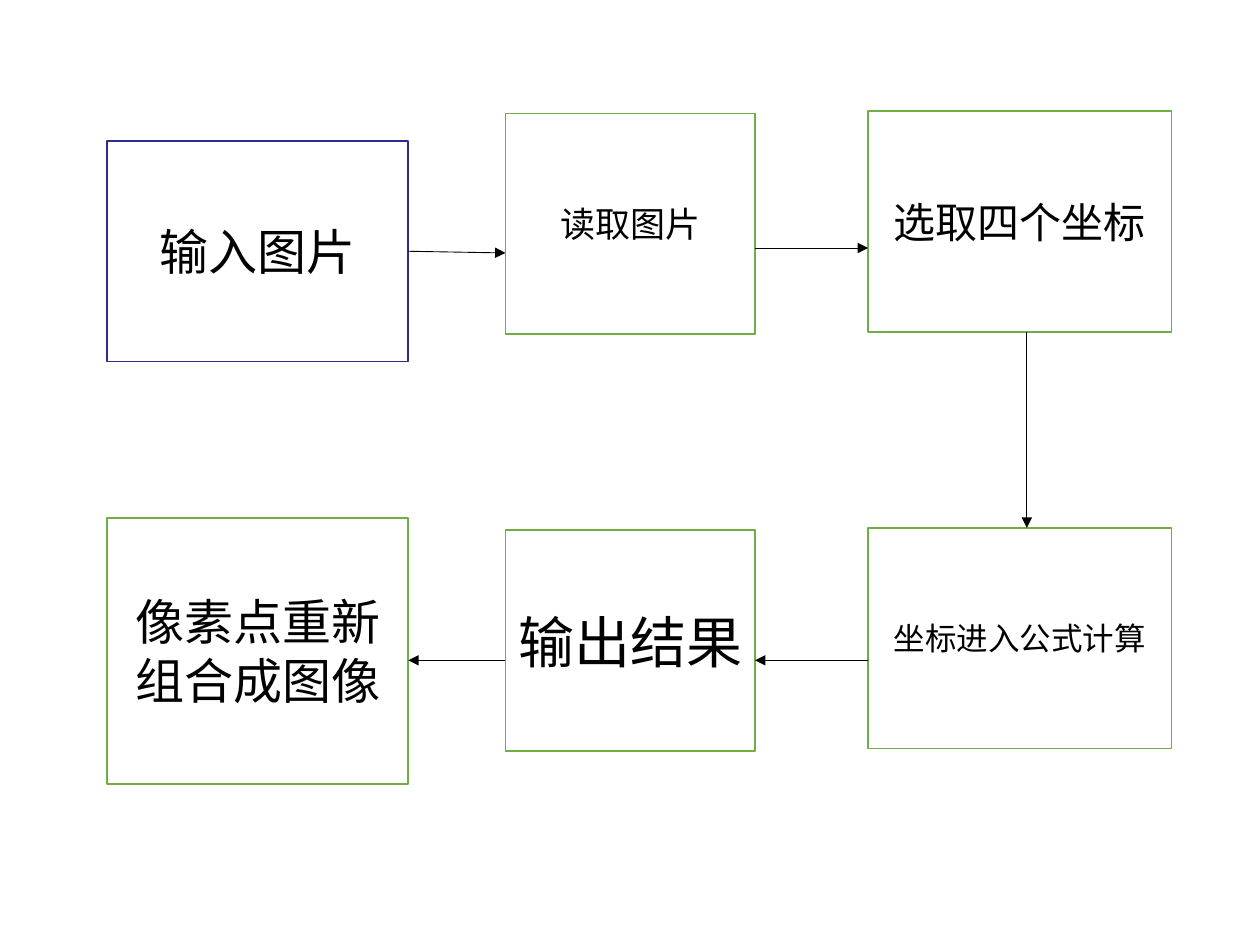
from pptx import Presentation
from pptx.dml.color import RGBColor
from pptx.enum.shapes import MSO_CONNECTOR, MSO_SHAPE
from pptx.enum.text import MSO_ANCHOR, PP_ALIGN
from pptx.oxml.ns import qn
from pptx.util import Cm, Pt
from lxml.etree import SubElement

BLACK = RGBColor(0, 0, 0)
WHITE = RGBColor(255, 255, 255)
NAVY = RGBColor(0x2D, 0x2D, 0x89)
GREEN = RGBColor(0x70, 0xAD, 0x47)
FONT = "Noto Sans CJK SC"
BOX_HEIGHT = 4.45
COLUMNS = [(0, 6.07), (8.03, 5.03), (15.34, 6.12)]
STEPS = [
    ("输入图片", 0, 0.6, BOX_HEIGHT, 28, NAVY),
    ("读取图片", 1, 0.05, BOX_HEIGHT, 20, GREEN),
    ("选取四个坐标", 2, 0, BOX_HEIGHT, 24, GREEN),
    ("坐标进入公式计算", 2, 8.4, BOX_HEIGHT, 18, GREEN),
    ("输出结果", 1, 8.45, BOX_HEIGHT, 32, GREEN),
    ("像素点重新组合成图像", 0, 8.2, 5.36, 28, GREEN),
]


def add_step(slide, left, top, width, height, text, size, line_color):
    """Add one outlined step box with centred text."""
    box = slide.shapes.add_shape(
        MSO_SHAPE.RECTANGLE, Cm(left), Cm(top), Cm(width), Cm(height))
    box.shadow.inherit = False
    box.fill.solid()
    box.fill.fore_color.rgb = WHITE
    box.line.color.rgb = line_color
    box.line.width = Pt(1)
    frame = box.text_frame
    frame.word_wrap = True
    frame.vertical_anchor = MSO_ANCHOR.MIDDLE
    frame.margin_left = frame.margin_right = Cm(0.2)
    para = frame.paragraphs[0]
    para.alignment = PP_ALIGN.CENTER
    span = para.add_run()
    span.text = text
    span.font.size = Pt(size)
    span.font.name = FONT
    span.font.color.rgb = BLACK
    SubElement(span.font._element, qn("a:ea"), typeface=FONT)
    return box


def add_arrow(slide, start_x, start_y, end_x, end_y):
    """Add a thin straight arrow pointing at its end."""
    arrow = slide.shapes.add_connector(
        MSO_CONNECTOR.STRAIGHT, Cm(start_x), Cm(start_y), Cm(end_x), Cm(end_y))
    arrow.line.color.rgb = BLACK
    arrow.line.width = Pt(0.5)
    SubElement(arrow.line._get_or_add_ln(), qn("a:tailEnd"), type="triangle")
    SubElement(arrow._element.spPr, qn("a:effectLst"))
    return arrow


def add_flow(slide, left, top):
    """Place the six steps and their arrows from the given corner."""
    boxes = []
    for text, column, offset, height, size, color in STEPS:
        shift, width = COLUMNS[column]
        boxes.append(add_step(slide, left + shift, top + offset, width, height,
                              text, size, color))
    starts = [left + shift for shift, width in COLUMNS]
    ends = [left + shift + width for shift, width in COLUMNS]
    first = add_arrow(slide, ends[0], top + 2.86, starts[1], top + 2.86)
    first.begin_connect(boxes[0], 3)
    add_arrow(slide, ends[1], top + 2.76, starts[2], top + 2.76)
    add_arrow(slide, left + 18.54, top + BOX_HEIGHT, left + 18.54, top + 8.4)
    for column in (2, 1):
        add_arrow(slide, starts[column], top + 11.07,
                  ends[column - 1], top + 11.07)


def main():
    """Build and save the deck."""
    deck = Presentation()
    deck.slide_width, deck.slide_height = Cm(25.4), Cm(19.05)
    page = deck.slides.add_slide(deck.slide_layouts[6])
    add_flow(page, 2.16, 2.24)
    deck.save("out.pptx")


if __name__ == "__main__":
    main()
